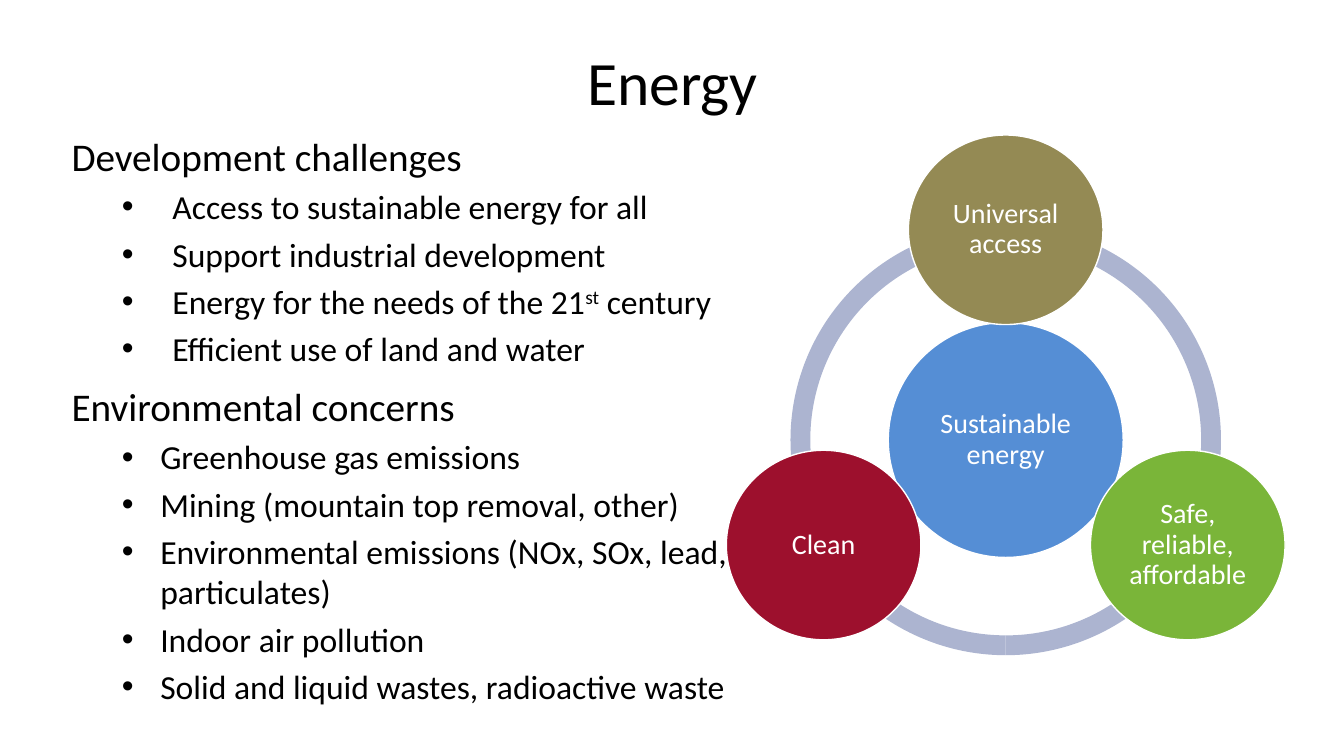
import math

from lxml import etree
from pptx import Presentation
from pptx import util as u
from pptx.dml.color import RGBColor
from pptx.enum import shapes, text
from pptx.oxml.ns import qn

COLORS = {
    "ink": "000000", "paper": "FFFFFF", "ring": "ACB4D0", "hub": "558ED5",
    "access": "948A54", "safe": "7AB539", "clean": "9D102D",
}
FONT = "Calibri"
WIDTH, HEIGHT = u.Inches(13.33), u.Inches(7.5)

CHALLENGES = [
    ["Access to sustainable energy for all"],
    ["Support industrial development"],
    ["Energy for the needs of the 21", "^st", " century"],
    ["Efficient use of land and water"],
]
CONCERNS = [
    ["Greenhouse gas emissions"],
    ["Mining (mountain top removal, other)"],
    ["Environmental emissions (NOx, SOx, lead, particulates)"],
    ["Indoor air pollution"],
    ["Solid and liquid wastes, radioactive waste"],
]
# Heading, its points, list level, left indent and hanging indent in inches
SECTIONS = [
    ("Development challenges", CHALLENGES, 1, 1.05, 0.5),
    ("Environmental concerns", CONCERNS, 2, 0.93, 0.38),
]
# Label, colour and angle on the ring in degrees, clockwise from the right
GOALS = [
    ("Universal access", "access", -90),
    ("Safe, reliable, affordable", "safe", 30),
    ("Clean", "clean", 150),
]

# Diagram measures, in percent of the slide's width (x) or height (the rest)
CENTER_X, CENTER_Y = 74.83, 58.2
RING, HUB, ORBIT = 56.93, 31.07, 27.8
GOAL_WIDTH, GOAL_HEIGHT = 25.73, 25.07


def across(percent):
    return int(WIDTH * percent / 100)


def down(percent):
    return int(HEIGHT * percent / 100)


def rgb(name):
    return RGBColor.from_string(COLORS[name])


def write(paragraph, parts, size=20, color="ink", align=None, spacing=None,
          before=0, level=0, left=0, hanging=0, bullet=None):
    """Fill a paragraph; a part that starts with ^ is superscript."""
    paragraph.level = level
    props = paragraph._p.get_or_add_pPr()
    props.set("marL", str(u.Inches(left)))
    props.set("indent", str(-u.Inches(hanging)))
    if bullet:
        etree.SubElement(props, qn("a:buFont")).set("typeface", "Arial")
        etree.SubElement(props, qn("a:buChar")).set("char", bullet)
    else:
        etree.SubElement(props, qn("a:buNone"))
    paragraph.space_before = u.Pt(before)
    if align is not None:
        paragraph.alignment = align
    if spacing:
        paragraph.line_spacing = spacing
    for part in parts:
        run = paragraph.add_run()
        run.text = part.lstrip("^")
        run.font.name, run.font.size = FONT, u.Pt(size)
        run.font.color.rgb = rgb(color)
        if part.startswith("^"):
            run.font._element.set("baseline", "30000")


def place(placeholder, left, top, width, height, anchor):
    placeholder.left, placeholder.top = across(left), down(top)
    placeholder.width, placeholder.height = across(width), down(height)
    frame = placeholder.text_frame
    frame.auto_size = text.MSO_AUTO_SIZE.NONE
    frame.word_wrap = True
    frame.vertical_anchor = anchor
    return frame


def add_sections(frame):
    for number, (heading, points, level, left, hanging) in enumerate(SECTIONS):
        line = frame.add_paragraph() if number else frame.paragraphs[0]
        write(line, [heading], size=28, left=0.05, before=10 if number else 0)
        for point in points:
            write(frame.add_paragraph(), point, size=24, before=5, level=level,
                  left=left, hanging=hanging, bullet="•")


def add_round(group, kind, x, y, width, height, color):
    """Add a shape centred on x, y (EMU); sizes are shares of slide height."""
    width, height = down(width), down(height)
    part = group.shapes.add_shape(
        kind, int(x - width / 2), int(y - height / 2), width, height)
    part.shadow.inherit = False
    part.fill.solid()
    part.fill.fore_color.rgb = rgb(color)
    part.line.fill.background()
    return part


def add_arc(group, x, y, start, end):
    arc = add_round(group, shapes.MSO_SHAPE.BLOCK_ARC, x, y, RING, RING, "ring")
    # Angles are stored in 60000ths of a degree, adjustments in 100000ths
    arc.adjustments[0] = start * 0.6
    arc.adjustments[1] = end * 0.6
    arc.adjustments[2] = 0.046


def add_circle(group, x, y, width, height, color, label):
    circle = add_round(group, shapes.MSO_SHAPE.OVAL, x, y, width, height, color)
    circle.line.color.rgb = rgb("paper")
    circle.line.width = u.Pt(1)
    frame = circle.text_frame
    frame.word_wrap = True
    frame.vertical_anchor = text.MSO_ANCHOR.MIDDLE
    frame.margin_left = frame.margin_right = u.Inches(0.03)
    frame.margin_top = frame.margin_bottom = u.Inches(0.03)
    write(frame.paragraphs[0], [label], color="paper",
          align=text.PP_ALIGN.CENTER, spacing=0.9)


def add_diagram(slide):
    group = slide.shapes.add_group_shape()
    x, y = across(CENTER_X), down(CENTER_Y)
    # Ring
    for start, end in [(90, 162), (18, 90), (162, 18)]:
        add_arc(group, x, y, start, end)
    # Hub and the goals around it
    add_circle(group, x, y, HUB, HUB, "hub", "Sustainable energy")
    for label, color, degrees in GOALS:
        angle = math.radians(degrees)
        add_circle(group, x + down(ORBIT) * math.cos(angle),
                   y + down(ORBIT) * math.sin(angle),
                   GOAL_WIDTH, GOAL_HEIGHT, color, label)


def main():
    deck = Presentation()
    deck.slide_width, deck.slide_height = WIDTH, HEIGHT
    slide = deck.slides.add_slide(deck.slide_layouts[1])
    slide.background.fill.solid()
    slide.background.fill.fore_color.rgb = rgb("paper")

    # Title
    title = place(slide.shapes.title, 14.25, 0.67, 71.57, 15.73,
                  text.MSO_ANCHOR.BOTTOM)
    write(title.paragraphs[0], ["Energy"], size=44,
          align=text.PP_ALIGN.CENTER, spacing=0.9)

    # Challenges and concerns
    body = place(slide.placeholders[1], 4.2, 16.8, 52.74, 76.4,
                 text.MSO_ANCHOR.TOP)
    add_sections(body)

    # Sustainable energy diagram
    add_diagram(slide)
    deck.save("out.pptx")


if __name__ == "__main__":
    main()
